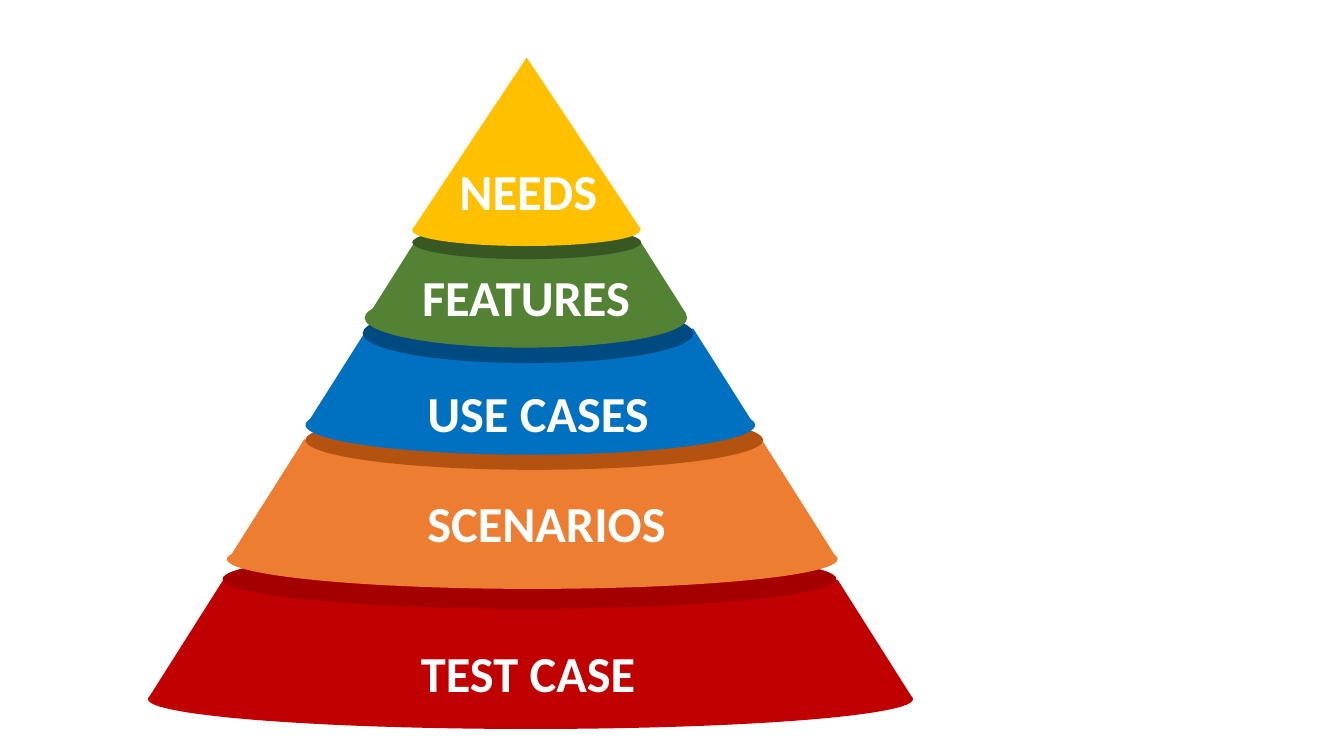
from pptx import Presentation
from pptx.dml.color import RGBColor
from pptx.enum.shapes import MSO_SHAPE
from pptx.util import Cm, Pt

HUES = {
    "white": "FFFFFF",
    "red": "C00000", "wine": "A40000",
    "orange": "ED7D31", "rust": "B45210",
    "blue": "0070C0", "navy": "004A82",
    "green": "548235", "moss": "385723",
    "gold": "FFC000",
}


class Deck:
    """Holds the text style and the current slide."""

    font = "Calibri"
    size = Pt(36)

    def __init__(self, slide):
        """Keep the slide to draw on."""
        self.slide = slide

    def shape(self, kind, box, hue):
        """Add a flat shape without outline; box is in centimetres."""
        item = self.slide.shapes.add_shape(kind, *map(Cm, box))
        item.shadow.inherit = False
        item.fill.solid()
        item.fill.fore_color.rgb = RGBColor.from_string(HUES[hue])
        item.line.fill.background()
        return item

    def oval(self, box, hue):
        """Add an ellipse."""
        return self.shape(MSO_SHAPE.OVAL, box, hue)

    def slope(self, box, hue, slant):
        """Add a trapezoid with the given slant."""
        item = self.shape(MSO_SHAPE.TRAPEZOID, box, hue)
        item.adjustments[0] = slant
        return item

    def label(self, text, left, top):
        """Add a bold white label."""
        box = self.slide.shapes.add_textbox(Cm(left), Cm(top), Cm(11.53), Cm(1.8))
        box.text_frame.word_wrap = True
        para = box.text_frame.paragraphs[0]
        para.text = text
        font = para.font
        font.name, font.size, font.bold = self.font, self.size, True
        font.color.rgb = RGBColor.from_string(HUES["white"])


# Tiers from the bottom up: hue, body, slant, rounded base, (cap hue, cap), label
TIERS = [
    ("red", (3.73, 14.61, 19.28, 3), 0.633, (3.73, 16.87, 19.28, 1.5),
     ("wine", (5.61, 13.84, 15.47, 1.5)), ("TEST CASE", 10.36, 16.05)),
    ("orange", (5.77, 11.07, 15.32, 3), 0.633, (5.72, 13.34, 15.39, 1.5),
     ("rust", (7.7, 10.34, 11.53, 1.5)), ("SCENARIOS", 10.52, 12.27)),
    ("blue", (7.7, 8.28, 11.33, 2.46), 0.633, (7.7, 9.96, 11.33, 1.5),
     ("navy", (9.14, 7.65, 8.33, 1.5)), ("USE CASES", 10.52, 9.5)),
    ("green", (9.3, 6.12, 8, 1.8), 0.633, (9.19, 7.26, 8.13, 1.5),
     ("moss", (10.39, 5.69, 5.77, 0.84)), ("FEATURES", 10.39, 6.58)),
    ("gold", (10.39, 1.45, 5.77, 4.34), 0.954, (10.39, 5.41, 5.74, 0.79),
     None, ("NEEDS", 11.33, 3.91)),
]


def main():
    """Build the pyramid slide and save it."""
    show = Presentation()
    show.slide_width, show.slide_height = Cm(33.87), Cm(19.05)
    deck = Deck(show.slides.add_slide(show.slide_layouts[6]))
    for hue, body, slant, base, cap, _ in TIERS:
        deck.slope(body, hue, slant)
        deck.oval(base, hue)
        if cap:
            shade, rim = cap
            deck.oval(rim, shade)
    for *_, label in TIERS:
        deck.label(*label)
    show.save("out.pptx")


main()
